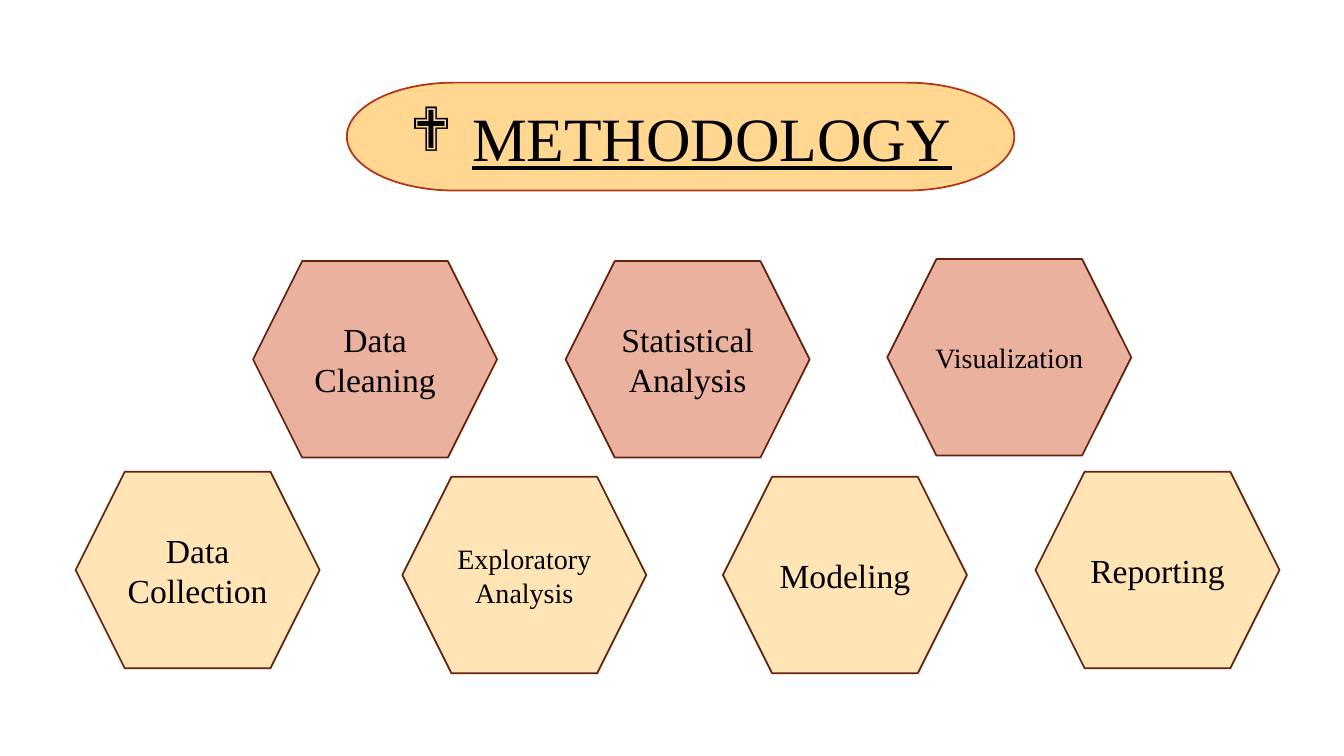
from lxml import etree
from pptx import Presentation
from pptx.dml.color import RGBColor
from pptx.enum.shapes import MSO_SHAPE
from pptx.enum.text import MSO_ANCHOR, MSO_AUTO_SIZE, PP_ALIGN
from pptx.oxml.ns import qn
from pptx.util import Pt

HEXAGON = MSO_SHAPE.HEXAGON
TERMINATOR = MSO_SHAPE.FLOWCHART_TERMINATOR
MIDDLE = MSO_ANCHOR.MIDDLE
CENTER = PP_ALIGN.CENTER
NO_FIT = MSO_AUTO_SIZE.NONE

PX = 9144  # EMU per px, 100 px to the inch
FONT = "Times New Roman"
COLORS = {
    "text": "000000",
    "banner": "FFD791",
    "banner_line": "B53513",
    "upper": "EBB19F",
    "lower": "FFE5B5",
    "step_line": "66210F",
}
STEP_W, STEP_H = 242, 195

# Each step: left, top (within its row), text, size
UPPER_STEPS = [
    (0, 2, "Data Cleaning", 24),
    (310, 2, "Statistical Analysis", 24),
    (629, 0, "Visualization", 20),
]
LOWER_STEPS = [
    (0, 0, "Data Collection", 24),
    (324, 5, "Exploratory Analysis", 20),
    (642, 5, "Modeling", 24),
    (952, 0, "Reporting", 24),
]


def rgb(name):
    return RGBColor.from_string(COLORS[name])


def add_box(s, kind, box, fill, line):
    sp = s.shapes.add_shape(kind, *(v * PX for v in box))
    sp.shadow.inherit = False
    sp.fill.solid()
    sp.fill.fore_color.rgb = rgb(fill)
    sp.line.color.rgb = rgb(line)
    sp.line.width = Pt(1.25)
    return sp


def set_text(sp, text, size):
    tf = sp.text_frame
    tf.text = text
    tf.word_wrap = True
    tf.auto_size = NO_FIT
    tf.vertical_anchor = MIDDLE
    p = tf.paragraphs[0]
    p.alignment = CENTER
    font = p.runs[0].font
    font.name = FONT
    font.size = Pt(size)
    font.color.rgb = rgb("text")
    return p


def add_title(s, x, y, w, h):
    add_box(s, TERMINATOR, (x, y, w, h), "banner", "banner_line")
    title = s.shapes.title
    title.left, title.top, title.width, title.height = (v * PX for v in (x, y, w, h))
    p = set_text(title, "METHODOLOGY", 44)
    p.runs[0].font.underline = True

    # Diamond bullet with a hanging indent
    pPr = p._p.get_or_add_pPr()
    pPr.set("marL", str(62 * PX))
    pPr.set("indent", str(-62 * PX))
    etree.SubElement(pPr, qn("a:buFont"), typeface="Wingdings")
    etree.SubElement(pPr, qn("a:buChar"), char="❖")

    # Bring the title text in front of its banner
    s.shapes._spTree.append(title._element)


def add_steps(s, x, y, steps, fill):
    for left, top, text, size in steps:
        box = (x + left, y + top, STEP_W, STEP_H)
        sp = add_box(s, HEXAGON, box, fill, "step_line")
        set_text(sp, text, size)


def main():
    prs = Presentation()
    prs.slide_width, prs.slide_height = 1333 * PX, 750 * PX
    s = prs.slides.add_slide(prs.slide_layouts[5])

    # Title banner
    add_title(s, 344, 82, 662, 107)

    # Two staggered rows of steps
    add_steps(s, 251, 257, UPPER_STEPS, "upper")
    add_steps(s, 75, 468, LOWER_STEPS, "lower")

    prs.save("out.pptx")


if __name__ == "__main__":
    main()
